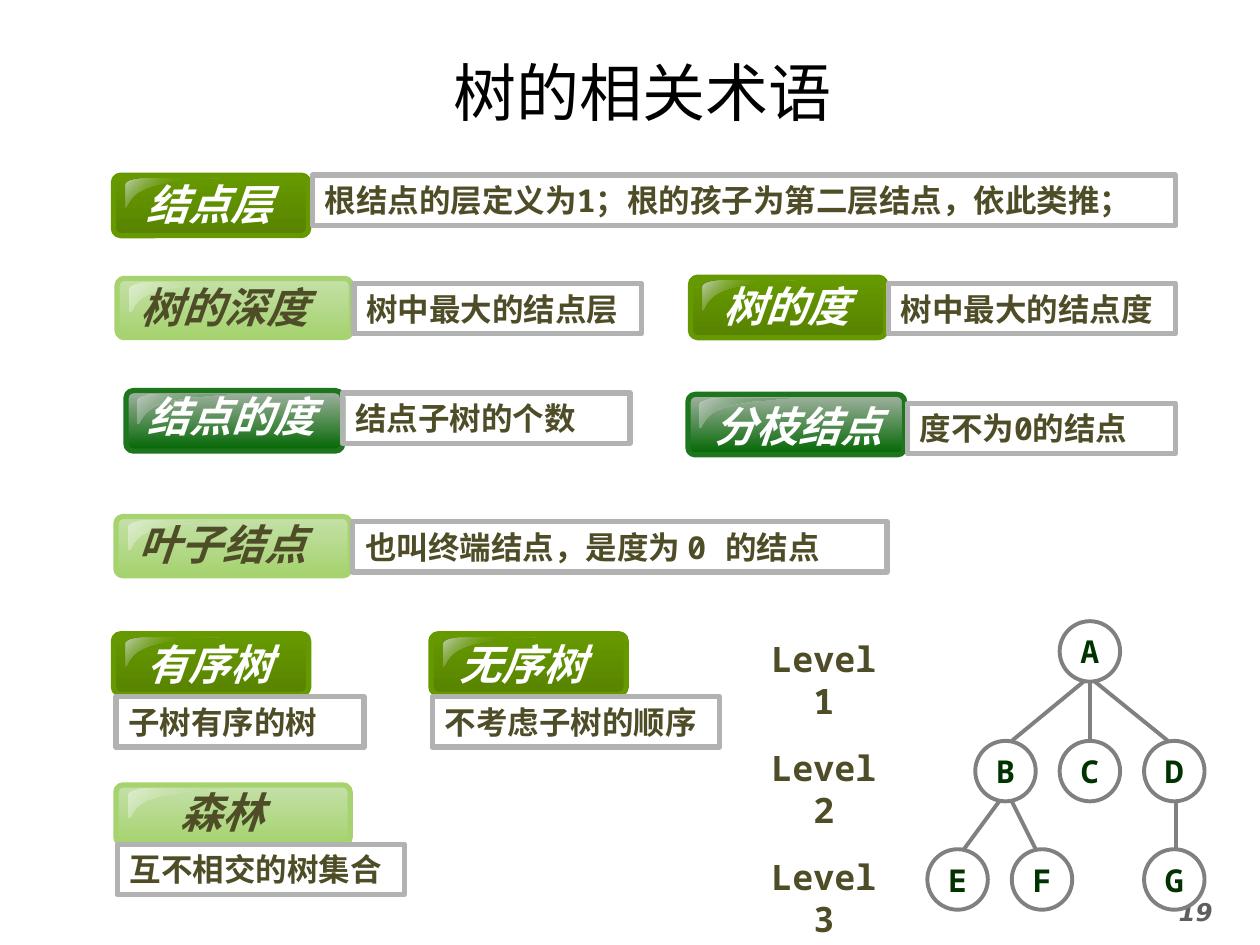
import pptx
import pptx.util
import pptx.dml.color
import pptx.enum.shapes
import pptx.enum.text
import pptx.oxml
import pptx.oxml.ns

Inches = pptx.util.Inches
Pt = pptx.util.Pt
RGBColor = pptx.dml.color.RGBColor
MSO_SHAPE = pptx.enum.shapes.MSO_SHAPE
PP_ALIGN = pptx.enum.text.PP_ALIGN
MSO_ANCHOR = pptx.enum.text.MSO_ANCHOR
qn = pptx.oxml.ns.qn
nsdecls = pptx.oxml.ns.nsdecls

BLACK = RGBColor(0x00, 0x00, 0x00)
WHITE = RGBColor(0xFF, 0xFF, 0xFF)
BROWN = RGBColor(0x4E, 0x4D, 0x27)
DARK_GREEN = RGBColor(0x00, 0x33, 0x00)
GRAY = RGBColor(0x80, 0x80, 0x80)
LIGHT_GRAY = RGBColor(0xB2, 0xB2, 0xB2)
NUMBER_GRAY = RGBColor(0x5F, 0x5F, 0x5F)
OLIVE = RGBColor(0x66, 0x99, 0x00)
OLIVE_DARK = RGBColor(0x57, 0x83, 0x00)
OLIVE_GLOSS = RGBColor(0xC0, 0xD0, 0xB5)
LIME = RGBColor(0xA6, 0xD3, 0x6F)
LIME_LIGHT = RGBColor(0xC4, 0xE0, 0xA8)
LIME_GLOSS = RGBColor(0xDF, 0xEE, 0xD2)
GREEN = RGBColor(0x00, 0x66, 0x00)
GREEN_EDGE = RGBColor(0x1D, 0x75, 0x1D)
GREEN_LIGHT = RGBColor(0xA4, 0xB3, 0xA4)
GREEN_GLOSS = RGBColor(0xBF, 0xC8, 0xBF)
MONO = "Noto Sans Mono"


def write(sp, text, size, color, align=PP_ALIGN.CENTER, anchor=MSO_ANCHOR.TOP,
          wrap=True, bold=True, italic=False, font=MONO):
    tf = sp.text_frame
    tf.word_wrap = wrap
    tf.vertical_anchor = anchor
    p = tf.paragraphs[0]
    p.alignment = align
    r = p.add_run()
    r.text = text
    r.font.name = font
    r.font.size = Pt(size)
    r.font.bold = bold
    r.font.italic = italic
    r.font.color.rgb = color


def fill_gradient(sp, stops, angle):
    sp.fill.gradient()
    sp.fill.gradient_angle = -angle % 360
    gs_list = next(sp._element.iter(qn("a:gsLst")))
    for gs in list(gs_list):
        gs_list.remove(gs)
    for position, color, alpha in stops:
        opacity = "" if alpha == 100 else f'<a:alpha val="{alpha * 1000}"/>'
        gs_list.append(pptx.oxml.parse_xml(
            f'<a:gs {nsdecls("a")} pos="{position * 1000}">'
            f'<a:srgbClr val="{color}">{opacity}</a:srgbClr></a:gs>'))


prs = pptx.Presentation()
prs.slide_width = Inches(10)
prs.slide_height = Inches(7.5)
s = prs.slides.add_slide(prs.slide_layouts[5])

title = s.shapes.title
title.left, title.top, title.width, title.height = [Inches(v) for v in (0.33, 0.37, 9.54, 0.71)]
write(title, "树的相关术语", 36, BLACK, anchor=MSO_ANCHOR.MIDDLE, bold=False)

number = s.shapes.add_textbox(Inches(8.98), Inches(7.07), Inches(1.02), Inches(0.43))
write(number, "19", 14, NUMBER_GRAY, italic=True, font="DejaVu Sans")

NODE = 0.48
nodes = [("A", 8.41, 4.93), ("G", 9.08, 6.74), ("D", 9.08, 5.88), ("C", 8.41, 5.88),
         ("B", 7.74, 5.88), ("F", 8.03, 6.74), ("E", 7.36, 6.74)]
for name, x, y in nodes:
    sp = s.shapes.add_shape(MSO_SHAPE.OVAL, Inches(x), Inches(y), Inches(NODE), Inches(NODE))
    sp.shadow.inherit = False
    sp.fill.solid()
    sp.fill.fore_color.rgb = WHITE
    sp.line.color.rgb = GRAY
    sp.line.width = Pt(2.25)
    write(sp, name, 18, DARK_GREEN, anchor=MSO_ANCHOR.MIDDLE, wrap=False)

edges = [(8.6, 5.41, 8.03, 5.88), (8.65, 5.41, 8.65, 5.88), (8.69, 5.41, 9.27, 5.88),
         (7.93, 6.36, 7.65, 6.74), (8.03, 6.36, 8.22, 6.74), (9.33, 6.36, 9.33, 6.74)]
for edge in edges:
    line = s.shapes.add_connector(pptx.enum.shapes.MSO_CONNECTOR.STRAIGHT,
                                  *[Inches(v) for v in edge])
    line.line.color.rgb = GRAY
    line.line.width = Pt(2.25)
    line._element.spPr.append(pptx.oxml.parse_xml(f'<a:effectLst {nsdecls("a")}/>'))

gloss_points = [(0.15, 0), (0.07, 0), (0, 0.02), (0, 0.05), (0, 0.23),
                (0.03, 0.24), (0.02, 0.12), (0.21, 0.07),
                (0.4, 0.01), (0.77, 0.01), (0.76, 0), (0.15, 0)]
CURVE_STARTS = (0, 4, 7)

styles = {
    "olive": dict(width=1.55, height=0.48, edge=OLIVE, text=WHITE, gloss_scale=1,
                  body=[(0, OLIVE, 100), (100, OLIVE_DARK, 100)],
                  gloss=[(0, OLIVE_GLOSS, 100), (50, OLIVE, 0), (100, OLIVE_GLOSS, 100)]),
    "lime": dict(width=1.86, height=0.47, edge=LIME, text=BROWN, gloss_scale=0.99,
                 body=[(0, LIME_LIGHT, 100), (100, LIME, 100)],
                 gloss=[(0, LIME_GLOSS, 100), (100, LIME, 0)]),
    "green": dict(width=1.72, height=0.48, edge=GREEN_EDGE, text=WHITE, gloss_scale=0.94,
                  body=[(0, GREEN_LIGHT, 100), (100, GREEN, 100)],
                  gloss=[(0, GREEN_GLOSS, 100), (100, GREEN, 0)]),
}
terms = [
    ("结点层", "olive", 0.9, 1.39, 0.87, 1.36, 1.58),
    ("树的深度", "lime", 0.93, 2.21, 0.91, 2.18, 1.75),
    ("结点的度", "green", 1, 3.1, 0.88, 3.04, 1.92),
    ("树的度", "olive", 5.48, 2.2, 5.45, 2.17, 1.58),
    ("叶子结点", "lime", 0.92, 4.1, 0.89, 4.06, 1.75),
    ("分枝结点", "green", 5.46, 3.13, 5.38, 3.12, 1.92),
    ("有序树", "olive", 0.9, 5.03, 0.87, 5.01, 1.58),
    ("无序树", "olive", 3.42, 5.03, 3.26, 5.01, 1.77),
    ("森林", "lime", 0.92, 6.23, 0.89, 6.19, 1.75),
]
for term, style_name, x, y, label_x, label_y, label_width in terms:
    style = styles[style_name]
    chip = s.shapes.add_shape(MSO_SHAPE.ROUNDED_RECTANGLE, Inches(x), Inches(y),
                              Inches(style["width"]), Inches(style["height"]))
    chip.adjustments[0] = 0.12
    chip.shadow.inherit = False
    fill_gradient(chip, style["body"], 90)
    chip.line.color.rgb = style["edge"]
    chip.line.width = Pt(3)

    scale = style["gloss_scale"]
    points = [(Inches(x + 0.1 * scale + dx * scale), Inches(y + 0.03 + dy))
              for dx, dy in gloss_points]
    builder = s.shapes.build_freeform(*points[0])
    builder.add_line_segments(points[1:], close=True)
    gloss = builder.convert_to_shape()
    segments = list(gloss._element.iter(qn("a:lnTo")))
    for start in CURVE_STARTS:
        curve = pptx.oxml.parse_xml(f'<a:cubicBezTo {nsdecls("a")}/>')
        segments[start].addprevious(curve)
        for segment in segments[start:start + 3]:
            curve.append(segment[0])
            segment.getparent().remove(segment)
    gloss.shadow.inherit = False
    fill_gradient(gloss, style["gloss"], 45)
    gloss.line.fill.background()

    label = s.shapes.add_textbox(Inches(label_x), Inches(label_y),
                                 Inches(label_width), Inches(0.51))
    write(label, term, 24, style["text"], anchor=MSO_ANCHOR.MIDDLE, italic=True)

for i in range(3):
    level = s.shapes.add_textbox(Inches(5.88), Inches(5.01 + 0.865 * i), Inches(1.44), Inches(0.44))
    level.text_frame.margin_left = Inches(0.12)
    level.text_frame.margin_right = Inches(0.24)
    write(level, f"Level {i + 1}", 20, BROWN)

definitions = [
    ("根结点的层定义为1；根的孩子为第二层结点，依此类推；", 2.48, 1.39, 6.85),
    ("树中最大的结点层", 2.81, 2.25, 2.28),
    ("度不为0的结点", 7.2, 3.2, 2.13),
    ("也叫终端结点，是度为 0 的结点", 2.8, 4.14, 4.24),
    ("树中最大的结点度", 7.05, 2.25, 2.28),
    ("结点子树的个数", 2.72, 3.12, 2.28),
    ("不考虑子树的顺序", 3.43, 5.53, 2.28),
    ("子树有序的树", 0.92, 5.53, 1.97),
    ("互不相交的树集合", 0.93, 6.7, 2.28),
]
for text, x, y, width in definitions:
    sp = s.shapes.add_shape(MSO_SHAPE.RECTANGLE, Inches(x), Inches(y), Inches(width), Inches(0.4))
    sp.shadow.inherit = False
    sp.fill.background()
    sp.line.color.rgb = LIGHT_GRAY
    sp.line.width = Pt(3)
    write(sp, text, 18, BROWN, align=PP_ALIGN.LEFT)

prs.save("out.pptx")
